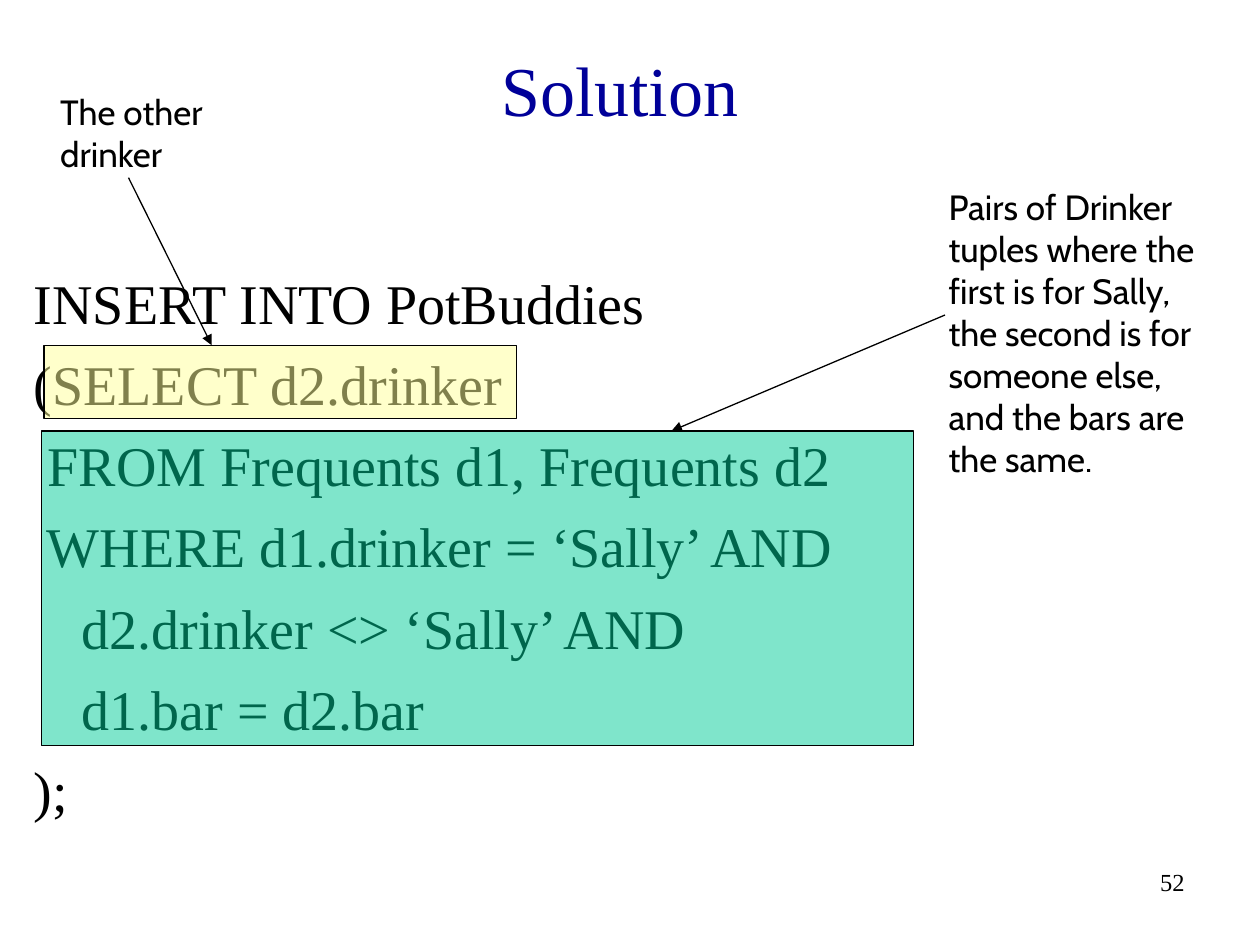
from pptx import Presentation
from pptx import util as u
from pptx.dml.color import RGBColor
from pptx.enum import shapes, text
from pptx.oxml.ns import qn
from lxml import etree

HUES = {"ink": "000000", "title": "000099", "green": "00CC99", "yellow": "FFFF99"}
SERIF, SANS = "Times New Roman", "Cabin"


class Deck:
    def __init__(self):
        self.prs = Presentation()
        self.prs.slide_width, self.prs.slide_height = u.Inches(10), u.Inches(7.5)
        self.slide = self.prs.slides.add_slide(self.prs.slide_layouts[6])

    def hue(self, name):
        return RGBColor.from_string(HUES[name])

    def stroke(self, line):
        line.color.rgb = self.hue("ink")
        line.width = u.Pt(0.75)

    def words(self, lines, box, size, font=SERIF, hue="ink",
              align=text.PP_ALIGN.LEFT, gap=0, mid=False):
        """Add one paragraph per line; a line may be (words, left indent)."""
        frame = self.slide.shapes.add_textbox(*map(u.Inches, box)).text_frame
        frame.word_wrap = True
        if mid:
            frame.vertical_anchor = text.MSO_ANCHOR.MIDDLE
        for i, line in enumerate(lines):
            words, left = line if isinstance(line, tuple) else (line, 0)
            para = frame.paragraphs[0] if i == 0 else frame.add_paragraph()
            para.text = words
            para.alignment = align
            if left:
                para._p.get_or_add_pPr().set("marL", str(u.Inches(left)))
            if i and gap:
                para.space_before = u.Pt(gap)
            para.font.name, para.font.size = font, u.Pt(size)
            para.font.color.rgb = self.hue(hue)

    def mark(self, box, hue):
        """Add a half-transparent outlined rectangle."""
        rect = self.slide.shapes.add_shape(
            shapes.MSO_SHAPE.RECTANGLE, *map(u.Inches, box))
        rect.shadow.inherit = False
        rect.fill.solid()
        rect.fill.fore_color.rgb = self.hue(hue)
        tint = rect._element.spPr.find(qn("a:solidFill"))[0]
        etree.SubElement(tint, qn("a:alpha")).set("val", "50000")
        self.stroke(rect.line)

    def arrow(self, start, end):
        link = self.slide.shapes.add_connector(
            shapes.MSO_CONNECTOR.STRAIGHT, *map(u.Inches, start + end))
        self.stroke(link.line)
        etree.SubElement(link.line._get_or_add_ln(), qn("a:tailEnd")).set("type", "triangle")
        etree.SubElement(link._element.spPr, qn("a:effectLst"))


def main():
    deck = Deck()

    # Page number and title
    deck.words(["52"], (7.42, 6.83, 2.08, 0.5), 14, align=text.PP_ALIGN.RIGHT)
    deck.words(["Solution"], (0.17, 0.33, 9.5, 0.75), 40, hue="title",
               align=text.PP_ALIGN.CENTER, mid=True)

    # Query
    query = ["INSERT INTO PotBuddies",
             "(SELECT d2.drinker",
             " FROM Frequents d1, Frequents d2",
             " WHERE d1.drinker = ‘Sally’ AND",
             ("d2.drinker <> ‘Sally’ AND", 0.38),
             ("d1.bar = d2.bar", 0.38),
             ");"]
    deck.words(query, (0.17, 2.08, 9.5, 4.67), 32, gap=8)

    # Note on the FROM and WHERE clauses
    deck.mark((0.33, 3.42, 6.92, 2.5), "green")
    pairs = ["Pairs of Drinker", "tuples where the", "first is for Sally,",
             "the second is for", "someone else,", "and the bars are", "the same."]
    deck.words(pairs, (7.43, 1.42, 2.4, 2.44), 20, SANS)
    deck.arrow((7.5, 2.5), (5.33, 3.42))

    # Note on the SELECT clause
    deck.mark((0.35, 2.74, 3.75, 0.58), "yellow")
    deck.words(["The other", "drinker"], (0.38, 0.67, 1.47, 0.77), 20, SANS)
    deck.arrow((1.02, 1.41), (1.68, 2.74))

    deck.prs.save("out.pptx")


if __name__ == "__main__":
    main()
